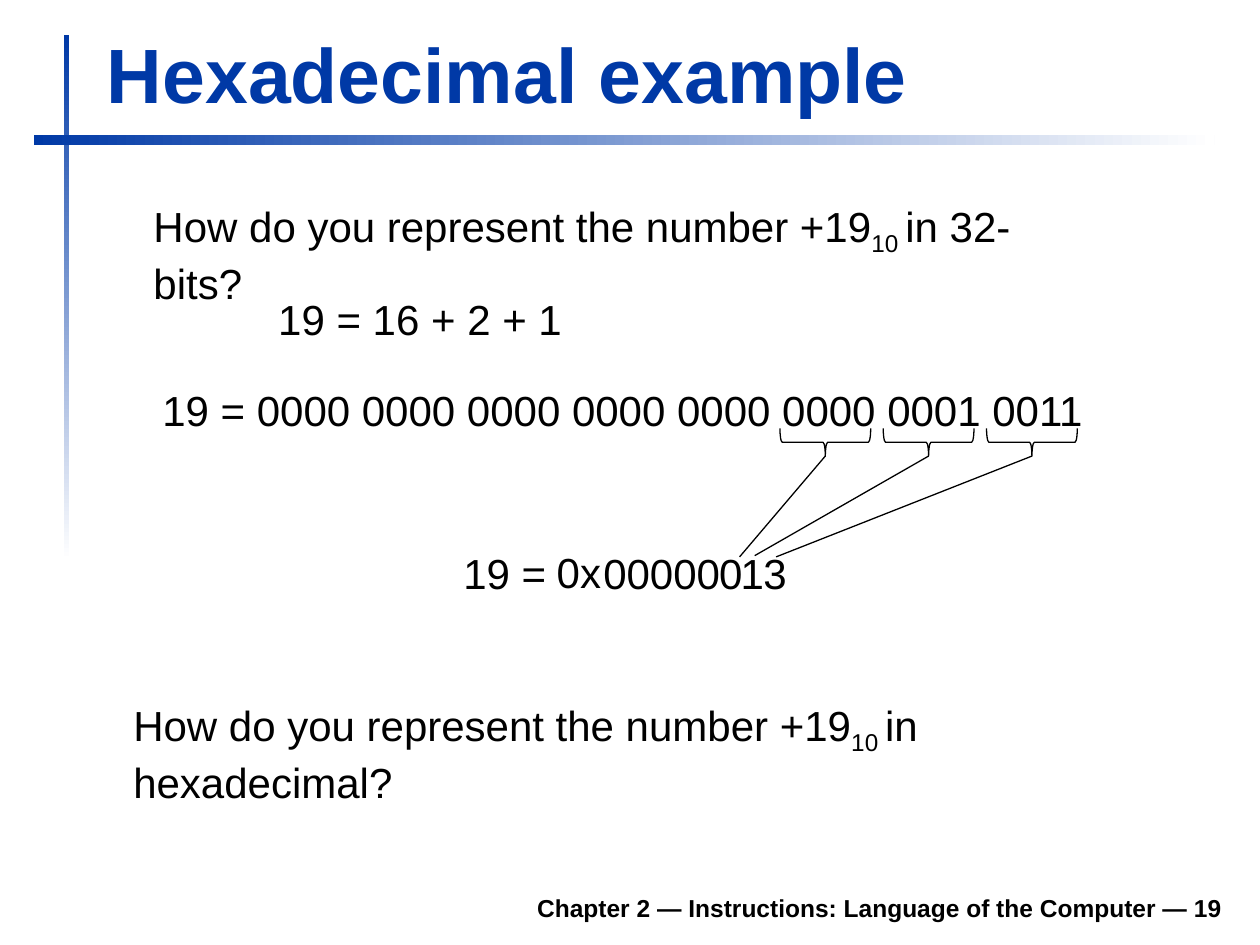
from lxml import etree
from pptx import Presentation
from pptx import util as u
from pptx.dml.color import RGBColor
from pptx.enum import shapes, text
from pptx.oxml.ns import qn

COLORS = {"blue": "0039A6", "white": "FFFFFF", "black": "000000"}
FONT = "Arial"
BODY_SIZE = 24

TITLE = "Hexadecimal example"
FOOTER = "Chapter 2 — Instructions: Language of the Computer — 19"

RULES = [
    ((0.51, 0.28, 0.04, 4.17), 270),
    ((0.27, 1.07, 9.37, 0.08), 0),
]

QUESTION = "How do you represent the number +19"
BASE = "10 "
STATEMENTS = [
    ((1.12, 1.54, 7.7, 0.56), [(QUESTION, 0), (BASE, -25), ("in 32-bits?", 0)]),
    ((2.11, 2.28, 2.45, 0.5), [("19 = 16 + 2 + 1", 0)]),
    ((1.19, 3, 7.53, 0.5), [("19 = 0000 0000 0000 0000 0000 0000 0001 0011", 0)]),
    ((0.96, 5.5, 8.57, 0.56), [(QUESTION, 0), (BASE, -25), ("in hexadecimal?", 0)]),
    ((3.58, 4.3, 0.9, 0.5), [("19 =", 0)]),
    ((4.32, 4.29, 0.55, 0.5), [("0x", 0)]),
    ((4.69, 4.3, 1.13, 0.5), [("00000", 0)]),
]

HEX_DIGITS = [
    ("0", 5.61, (5.87, 4.42)),
    ("1", 5.78, (5.99, 4.41)),
    ("3", 5.96, (6.16, 4.42)),
]
FIRST_NIBBLE_CENTER = 6.55
NIBBLE_STEP = 0.82
BRACE_DEPTH, BRACE_SPAN, BRACE_TOP = 0.22, 0.72, 3.4


def color(name):
    return RGBColor.from_string(COLORS[name])


def inches(values):
    return [u.Inches(value) for value in values]


def add_text(slide, place, runs, size=BODY_SIZE, ink="black", bold=False,
             align=text.PP_ALIGN.LEFT, anchor=text.MSO_ANCHOR.TOP, wrap=False):
    frame = slide.shapes.add_textbox(*inches(place)).text_frame
    frame.word_wrap = wrap
    frame.vertical_anchor = anchor
    line = frame.paragraphs[0]
    line.alignment = align
    for words, baseline in runs:
        run = line.add_run()
        run.text = words
        run.font.name = FONT
        run.font.size = u.Pt(size)
        run.font.bold = bold
        run.font.color.rgb = color(ink)
        if baseline:
            run.font._element.set("baseline", str(baseline * 1000))


def add_rule(slide, place, angle):
    rule = slide.shapes.add_shape(shapes.MSO_SHAPE.RECTANGLE, *inches(place))
    rule.shadow.inherit = False
    rule.line.fill.background()
    rule.fill.gradient()
    rule.fill.gradient_angle = angle
    for stop, name in zip(rule.fill.gradient_stops, ("blue", "white")):
        stop.color.rgb = color(name)


def draw_outline(part):
    part.line.color.rgb = color("black")
    part.line.width = u.Pt(0.75)


def add_nibble(slide, center, digit, digit_left, target):
    middle = BRACE_TOP + BRACE_DEPTH / 2
    brace = slide.shapes.add_shape(
        shapes.MSO_SHAPE.LEFT_BRACE,
        *inches((center - BRACE_DEPTH / 2, middle - BRACE_SPAN / 2,
                 BRACE_DEPTH, BRACE_SPAN)))
    brace.rotation = 270
    brace.shadow.inherit = False
    brace.fill.background()
    draw_outline(brace)

    add_text(slide, (digit_left, 4.3, 0.38, 0.5), [(digit, 0)])

    link = slide.shapes.add_connector(
        shapes.MSO_CONNECTOR.STRAIGHT,
        *inches((center, BRACE_TOP + BRACE_DEPTH, *target)))
    draw_outline(link)
    etree.SubElement(link._element.spPr, qn("a:effectLst"))


def main():
    deck = Presentation()
    deck.slide_width, deck.slide_height = inches((10, 7.5))
    slide = deck.slides.add_slide(deck.slide_layouts[6])

    for place, angle in RULES:
        add_rule(slide, place, angle)
    add_text(slide, (0.75, 0.16, 9.03, 0.83), [(TITLE, 0)], 44, "blue", True,
             anchor=text.MSO_ANCHOR.BOTTOM, wrap=True)
    add_text(slide, (1.85, 6.98, 7.95, 0.39), [(FOOTER, 0)], 14, bold=True,
             align=text.PP_ALIGN.RIGHT, anchor=text.MSO_ANCHOR.BOTTOM, wrap=True)
    for place, runs in STATEMENTS:
        add_text(slide, place, runs)
    for index, (digit, left, target) in enumerate(HEX_DIGITS):
        center = FIRST_NIBBLE_CENTER + index * NIBBLE_STEP
        add_nibble(slide, center, digit, left, target)

    deck.save("out.pptx")


if __name__ == "__main__":
    main()
